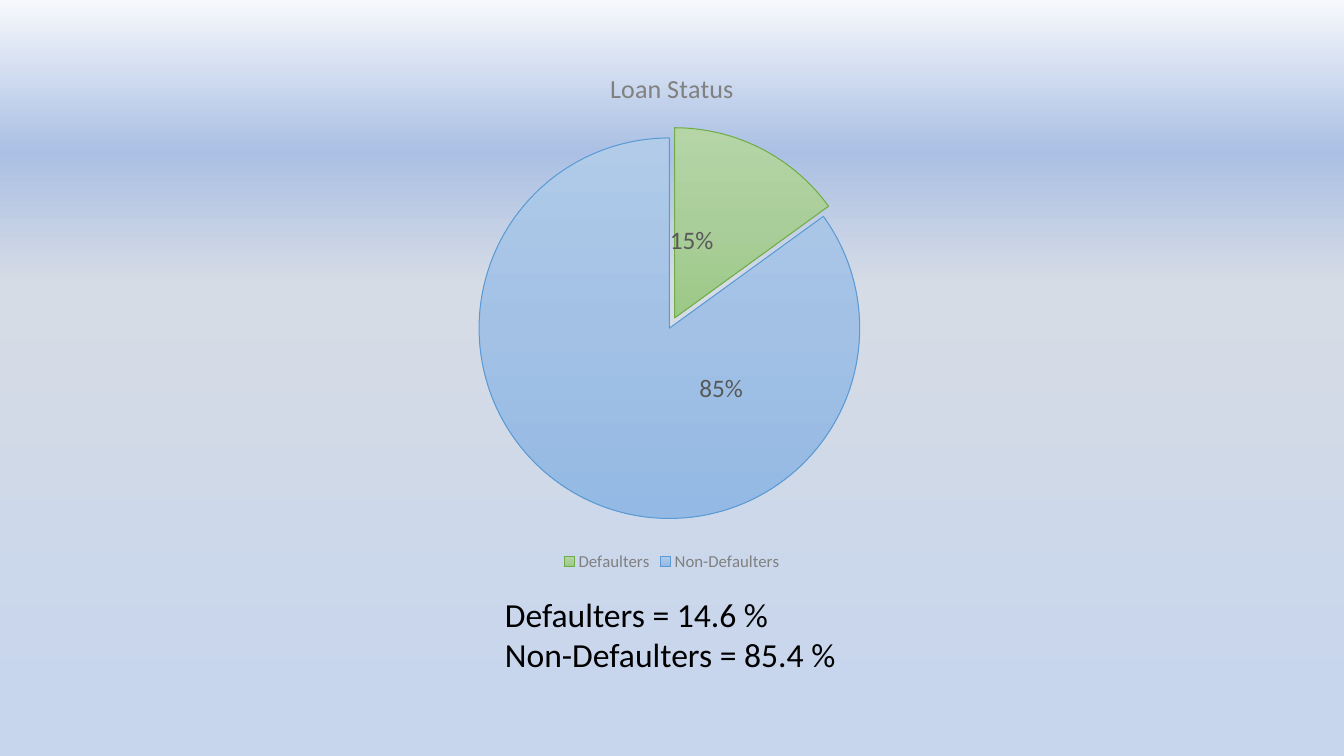
from lxml.etree import SubElement
from pptx import Presentation
from pptx.chart.data import CategoryChartData as ChartData
from pptx.dml.color import RGBColor
from pptx.enum.chart import XL_CHART_TYPE as ChartType
from pptx.enum.chart import XL_LABEL_POSITION as LabelPosition
from pptx.enum.chart import XL_LEGEND_POSITION as LegendPosition
from pptx.enum.text import MSO_AUTO_SIZE as AutoSize
from pptx.oxml.ns import qn
from pptx.util import Inches, Pt

COLORS = {"text": "000000", "muted": "808080", "label": "595959",
          "Defaulters": "70AD47", "Non-Defaulters": "5B9BD5"}
GRADIENTS = {
    "page": {0: "F6F8FC", 20: "ABC0E4", 38: "D6DCE5", 94: "C7D5ED"},
    "Defaulters": {0: "B5D5A7", 50: "AACE9A", 100: "9CC987"},
    "Non-Defaulters": {0: "B1CBE9", 50: "A3C1E5", 100: "93B9E4"},
}
LOAN_STATUS = {"Defaulters": 15, "Non-Defaulters": 85}
SUMMARY = ["Defaulters = 14.6 %", "Non-Defaulters = 85.4 %"]
# Percent of the chart's width and height
PLOT_AREA = {"x": 22.9, "y": 14.8, "w": 54.2, "h": 74.5}
LABEL_SHIFTS = {"Defaulters": {"x": -3.5, "y": 1.3},
                "Non-Defaulters": {"x": 12.7, "y": -4.7}}
EXPLOSION = 3


def add_value(parent, tag, value):
    return SubElement(parent, qn(tag), val=str(value))


def add_layout(parent, position, percents):
    """Put a manual layout among the children of a chart element."""
    layout = SubElement(parent, qn("c:layout"))
    parent.insert(position, layout)
    manual = SubElement(layout, qn("c:manualLayout"))
    if "w" in percents:
        add_value(manual, "c:layoutTarget", "inner")
        for side in "xy":
            add_value(manual, f"c:{side}Mode", "edge")
    for side, percent in percents.items():
        add_value(manual, f"c:{side}", round(percent / 100, 3))


class SlideBuilder:
    """Places elements by percent of the slide's width and height."""

    font_name = "Calibri"

    def __init__(self, deck):
        self.column, self.row = deck.slide_width / 100, deck.slide_height / 100
        self.page = deck.slides.add_slide(deck.slide_layouts[6])

    def place(self, left, top, width, height):
        return [round(size * unit) for size, unit in
                zip((left, top, width, height), (self.column, self.row) * 2)]

    def style(self, font, size, color):
        values = {"name": self.font_name, "size": Pt(size), "bold": False}
        for name, value in values.items():
            setattr(font, name, value)
        font.color.rgb = RGBColor.from_string(COLORS[color])

    def gradient(self, fill, name):
        """Fill from top to bottom with any number of stops."""
        fill.gradient()
        fill.gradient_angle = 270
        stops = fill._xPr.find(qn("a:gradFill")).find(qn("a:gsLst"))
        stops.clear()
        for percent, color in GRADIENTS[name].items():
            stop = SubElement(stops, qn("a:gs"), pos=str(percent * 1000))
            add_value(stop, "a:srgbClr", color)

    def background(self, name):
        self.gradient(self.page.background.fill, name)

    def pie(self, title, shares, *area):
        data = ChartData()
        data.categories = list(shares)
        data.add_series(title, list(shares.values()))
        chart = self.page.shapes.add_chart(
            ChartType.PIE, *self.place(*area), data).chart
        self.style(chart.font, 10, "text")

        chart.has_title = True
        span = chart.chart_title.text_frame.paragraphs[0].add_run()
        span.text = title
        self.style(span.font, 18.6, "muted")
        chart.chart_title.include_in_layout = False

        chart.has_legend = True
        chart.legend.position = LegendPosition.BOTTOM
        chart.legend.include_in_layout = False
        self.style(chart.legend.font, 12, "muted")

        plot = chart.plots[0]
        plot.vary_by_categories = True
        plot_area = chart._chartSpace.chart.plotArea
        for layout in plot_area.findall(qn("c:layout")):
            plot_area.remove(layout)
        add_layout(plot_area, 0, PLOT_AREA)
        self.slices(plot.series[0], shares)

    def slices(self, series, names):
        explosion = add_value(series._element, "c:explosion", EXPLOSION)
        series._element.find(qn("c:tx")).addnext(explosion)
        labels = series.data_labels
        values = {"show_percentage": True, "show_value": False,
                  "number_format": "0%", "number_format_is_linked": False,
                  "position": LabelPosition.CENTER}
        for name, value in values.items():
            setattr(labels, name, value)
        self.style(labels.font, 18, "label")

        for index, name in enumerate(names):
            point = series.points[index]
            self.gradient(point.format.fill, name)
            point.format.line.color.rgb = RGBColor.from_string(COLORS[name])
            point.format.line.width = Pt(0.75)
            point.data_label.position = LabelPosition.CENTER
            self.style(point.data_label.font, 18, "label")
        for label, name in zip(labels._element.findall(qn("c:dLbl")), names):
            label.find(qn("c:showVal")).set("val", "0")
            label.find(qn("c:showPercent")).set("val", "1")
            add_layout(label, 1, LABEL_SHIFTS[name])

    def text(self, lines, size, *area):
        box = self.page.shapes.add_textbox(*self.place(*area))
        frame = box.text_frame
        frame.word_wrap = True
        frame.auto_size = AutoSize.SHAPE_TO_FIT_TEXT
        frame.text = "\n".join(lines)
        for para in frame.paragraphs:
            for span in para.runs:
                self.style(span.font, size, "text")


def main():
    deck = Presentation()
    deck.slide_width, deck.slide_height = Inches(13.33), Inches(7.5)
    slide = SlideBuilder(deck)
    slide.background("page")
    slide.pie("Loan Status", LOAN_STATUS, 22.2, 6.53, 55.6, 69.6)
    slide.text(SUMMARY, 24, 36.83, 77.87, 43.06, 17.47)
    deck.save("out.pptx")


if __name__ == "__main__":
    main()
